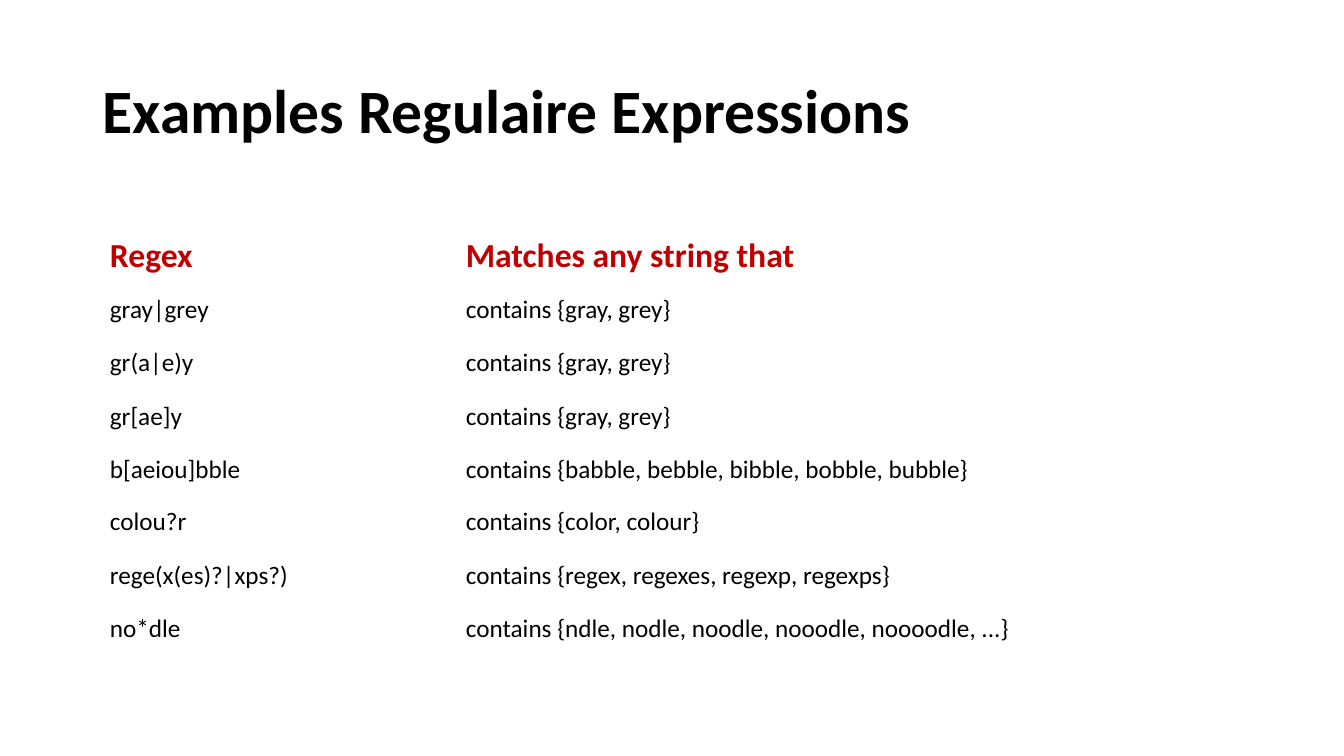
"""Build a slide with a table of regular expression examples."""
from pptx import Presentation
from pptx.dml.color import RGBColor
from pptx.enum.text import MSO_ANCHOR
from pptx.util import Inches, Pt

TITLE = "Examples Regulaire Expressions"
ROWS = [
    ("Regex", "Matches any string that"),
    ("gray|grey", "contains {gray, grey}"),
    ("gr(a|e)y", "contains {gray, grey}"),
    ("gr[ae]y", "contains {gray, grey}"),
    ("b[aeiou]bble", "contains {babble, bebble, bibble, bobble, bubble}"),
    ("colou?r", "contains {color, colour}"),
    ("rege(x(es)?|xps?)", "contains {regex, regexes, regexp, regexps}"),
    ("no*dle", "contains {ndle, nodle, noodle, nooodle, noooodle, ...}"),
]
COL_WIDTHS = (3.53, 7.59)
ROW_HEIGHTS = (0.66, 0.53, 0.53, 0.53, 0.52, 0.53, 0.53, 0.63)

FONT = "Calibri"
BLACK = RGBColor(0x00, 0x00, 0x00)
RED = RGBColor(0xC0, 0x00, 0x00)
MIDDLE, TOP = MSO_ANCHOR.MIDDLE, MSO_ANCHOR.TOP


def write(tf, text, size, color, bold):
    """Put one formatted paragraph in a text frame."""
    p = tf.paragraphs[0]
    p.text = text
    font = p.runs[0].font
    font.name, font.size, font.bold = FONT, Pt(size), bold
    font.color.rgb = color
    return p


def add_title(s):
    """Add the slide title."""
    tf = s.shapes.add_textbox(Inches(0.92), Inches(0.4), Inches(11.5), Inches(1.45)).text_frame
    tf.word_wrap = True
    tf.vertical_anchor = MIDDLE
    write(tf, TITLE, 44, BLACK, True).line_spacing = 0.9


def add_examples(s):
    """Add the table of expressions and their matches."""
    table = s.shapes.add_table(len(ROWS), len(COL_WIDTHS), Inches(0.99), Inches(2.21),
                               Inches(sum(COL_WIDTHS)), Inches(sum(ROW_HEIGHTS))).table
    table.horz_banding = False
    for column, width in zip(table.columns, COL_WIDTHS):
        column.width = Inches(width)
    for i, (row, height, texts) in enumerate(zip(table.rows, ROW_HEIGHTS, ROWS)):
        row.height = Inches(height)
        header = i == 0
        for cell, text in zip(row.cells, texts):
            cell.fill.background()
            cell.vertical_anchor = MIDDLE if header else TOP
            write(cell.text_frame, text, 24 if header else 18, RED if header else BLACK, header)


def main():
    """Create and save the presentation."""
    prs = Presentation()
    prs.slide_width, prs.slide_height = Inches(13.33), Inches(7.5)
    s = prs.slides.add_slide(prs.slide_layouts[6])
    add_title(s)
    add_examples(s)
    prs.save("out.pptx")


if __name__ == "__main__":
    main()
